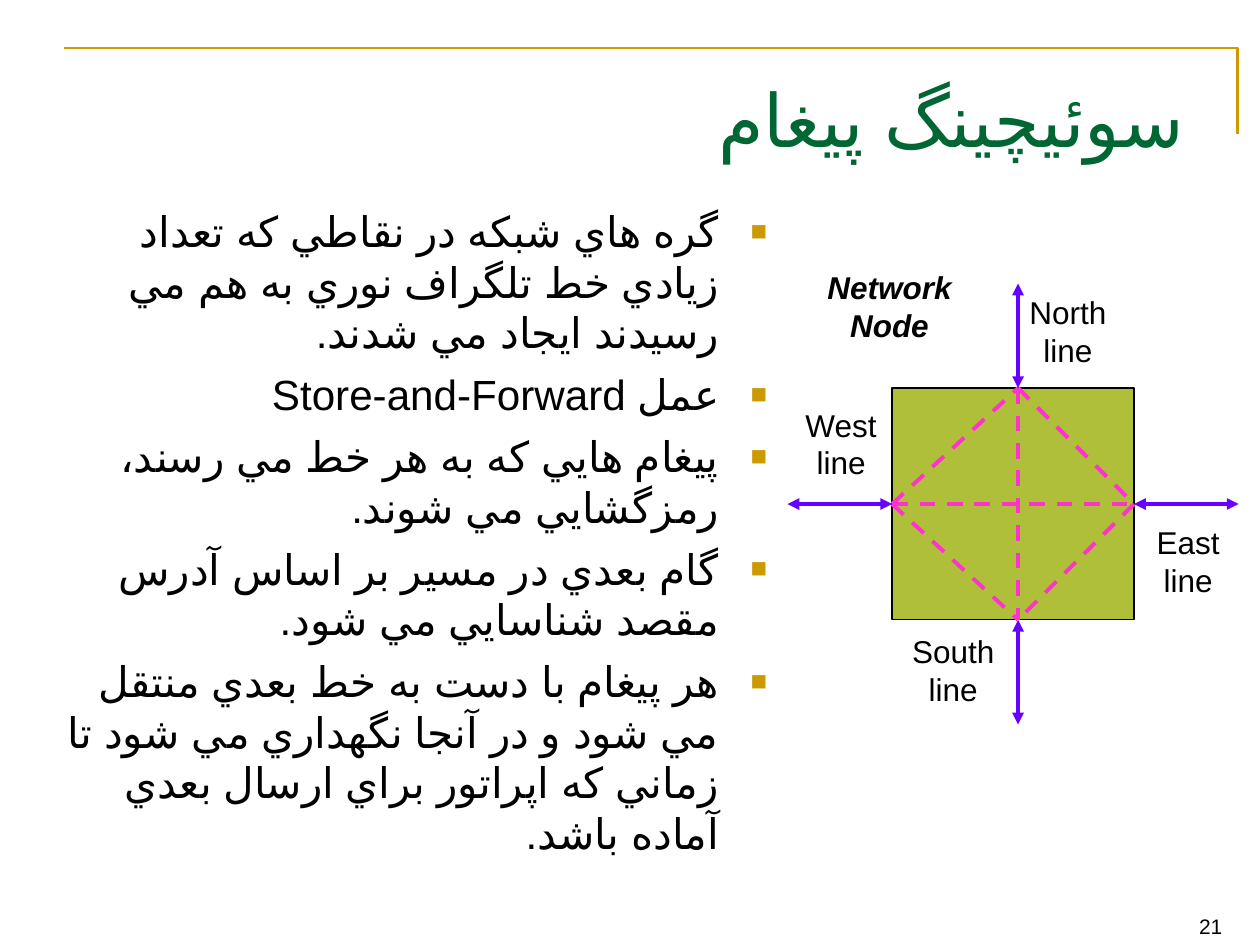
import itertools

import pptx
import pptx.dml.color
import pptx.enum.dml
import pptx.enum.lang
import pptx.enum.shapes
import pptx.enum.text
import pptx.oxml.ns
import pptx.util
from lxml import etree
from pptx.util import Inches

COLORS = {
    "text": "000000",
    "title": "006633",
    "gold": "CC9900",
    "node": "AFBF39",
    "line": "6600FF",
    "route": "FF33CC",
}
ALIGN = pptx.enum.text.PP_ALIGN
ANCHOR = pptx.enum.text.MSO_ANCHOR
AUTO_SIZE = pptx.enum.text.MSO_AUTO_SIZE

TITLE = "سوئيچينگ پيغام"
POINTS = [
    "گره هاي شبکه در نقاطي که تعداد زيادي خط تلگراف نوري به هم مي رسيدند ايجاد مي شدند.",
    "عمل Store-and-Forward",
    "پيغام هايي که به هر خط مي رسند، رمزگشايي مي شوند.",
    "گام بعدي در مسير بر اساس آدرس مقصد شناسايي مي شود.",
    "هر پيغام با دست به خط بعدي منتقل مي شود و در آنجا نگهداري مي شود تا زماني که اپراتور براي ارسال بعدي آماده باشد.",
]
PORTS = {
    "West": (7.08, 4),
    "North": (8.08, 3.08),
    "East": (9, 4),
    "South": (8.08, 4.92),
}
DIRECTIONS = {"West": (-1, 0), "North": (0, -1), "East": (1, 0), "South": (0, 1)}
ARM = 0.83
LABELS = [
    ("North", "line", 8.07, 2.28, 0.81),
    ("South", "line", 7.14, 4.97, 0.85),
    ("West", "line", 6.29, 3.17, 0.77),
    ("East", "line", 9.08, 4.1, 0.7),
]


def rgb(name):
    return pptx.dml.color.RGBColor.from_string(COLORS[name])


def add_xml(parent, tag, **attributes):
    return etree.SubElement(parent, pptx.oxml.ns.qn(tag), attributes)


def place(shape, left, top, width, height):
    shape.left, shape.top = Inches(left), Inches(top)
    shape.width, shape.height = Inches(width), Inches(height)


def style(paragraph, size, font="Arial", color="text", align=ALIGN.CENTER):
    paragraph.alignment = align
    paragraph.font.size = pptx.util.Pt(size)
    paragraph.font.name = font
    paragraph.font.color.rgb = rgb(color)


def style_rtl(paragraph, size, font="Arial", color="text"):
    style(paragraph, size, font, color, ALIGN.RIGHT)
    properties = paragraph._p.get_or_add_pPr()
    properties.set("rtl", "1")
    add_xml(properties.find(pptx.oxml.ns.qn("a:defRPr")), "a:cs", typeface="Arial")
    for run in paragraph.runs:
        run.font.language_id = pptx.enum.lang.MSO_LANGUAGE_ID.FARSI


def add_bullet(paragraph):
    properties = paragraph._p.get_or_add_pPr()
    properties.set("marL", str(Inches(0.38)))
    properties.set("indent", str(-Inches(0.38)))
    color = add_xml(properties, "a:buClr")
    add_xml(color, "a:srgbClr", val=COLORS["gold"])
    add_xml(properties, "a:buSzPct", val="65000")
    add_xml(properties, "a:buFont", typeface="Arial")
    add_xml(properties, "a:buChar", char="■")


def fill_title(slide):
    title = slide.shapes.title
    place(title, 0.5, 0.09, 9, 1.25)
    title.text_frame.text = TITLE
    title.text_frame.vertical_anchor = ANCHOR.BOTTOM
    title.text_frame.auto_size = AUTO_SIZE.NONE
    style_rtl(title.text_frame.paragraphs[0], 42, "Times New Roman", "title")


def fill_body(slide):
    body = slide.placeholders[1]
    place(body, 0.36, 1.58, 5.83, 5.5)
    frame = body.text_frame
    frame.text = "\n".join(POINTS)
    frame.auto_size = AUTO_SIZE.NONE
    for index, paragraph in enumerate(frame.paragraphs):
        paragraph.space_before = pptx.util.Pt(6.5 if index else 0)
        add_bullet(paragraph)
        style_rtl(paragraph, 24.1)


def add_corner_rule(slide):
    builder = slide.shapes.build_freeform(982, 106, scale=Inches(0.01))
    builder.add_line_segments([(982, 38), (51, 38)], close=False)
    rule = builder.convert_to_shape()
    rule.shadow.inherit = False
    rule.fill.background()
    rule.line.color.rgb = rgb("gold")
    rule.line.width = pptx.util.Pt(1.5)


def add_node(slide):
    left, top = PORTS["West"][0], PORTS["North"][1]
    node = slide.shapes.add_shape(
        pptx.enum.shapes.MSO_SHAPE.RECTANGLE,
        Inches(left),
        Inches(top),
        Inches(PORTS["East"][0] - left),
        Inches(PORTS["South"][1] - top),
    )
    node.shadow.inherit = False
    node.fill.solid()
    node.fill.fore_color.rgb = rgb("node")
    node.line.color.rgb = rgb("text")
    node.line.width = pptx.util.Pt(0.75)


def add_line(slide, start, end, color):
    connector = slide.shapes.add_connector(
        pptx.enum.shapes.MSO_CONNECTOR.STRAIGHT,
        *(Inches(length) for length in (*start, *end)),
    )
    connector.line.color.rgb = rgb(color)
    connector.line.width = pptx.util.Pt(2.25)
    add_xml(connector._element.spPr, "a:effectLst")
    return connector


def add_external_line(slide, side):
    x, y = PORTS[side]
    dx, dy = DIRECTIONS[side]
    connector = add_line(slide, (x, y), (x + ARM * dx, y + ARM * dy), "line")
    outline = connector._element.spPr.find(pptx.oxml.ns.qn("a:ln"))
    for end in ("a:headEnd", "a:tailEnd"):
        add_xml(outline, end, type="triangle")


def add_route(slide, start, end):
    route = add_line(slide, start, end, "route")
    route.line.dash_style = pptx.enum.dml.MSO_LINE.DASH


def add_label(slide, first, second, left, top, width, emphasis=None):
    label = slide.shapes.add_textbox(
        Inches(left), Inches(top), Inches(width), Inches(0.7)
    )
    frame = label.text_frame
    frame.word_wrap = False
    frame.auto_size = AUTO_SIZE.SHAPE_TO_FIT_TEXT
    frame.text = f"{first}\n{second}"
    for paragraph in frame.paragraphs:
        style(paragraph, 18)
        paragraph.font.bold = paragraph.font.italic = emphasis


def add_page_number(slide):
    number = slide.shapes.add_textbox(
        Inches(7.39), Inches(6.99), Inches(2.41), Inches(0.51)
    )
    frame = number.text_frame
    frame.word_wrap = True
    frame.vertical_anchor = ANCHOR.BOTTOM
    frame.text = "21"
    style_rtl(frame.paragraphs[0], 12, "Times New Roman")


def main():
    deck = pptx.Presentation()
    deck.slide_width, deck.slide_height = Inches(10), Inches(7.5)
    slide = deck.slides.add_slide(deck.slide_layouts[1])
    add_corner_rule(slide)
    fill_title(slide)
    fill_body(slide)
    add_node(slide)
    for side in PORTS:
        add_external_line(slide, side)
    for label in LABELS:
        add_label(slide, *label)
    add_label(slide, "Network", "Node", 6.46, 2.08, 1.2, emphasis=True)
    for start, end in itertools.combinations(PORTS.values(), 2):
        add_route(slide, start, end)
    add_page_number(slide)
    deck.save("out.pptx")


if __name__ == "__main__":
    main()
